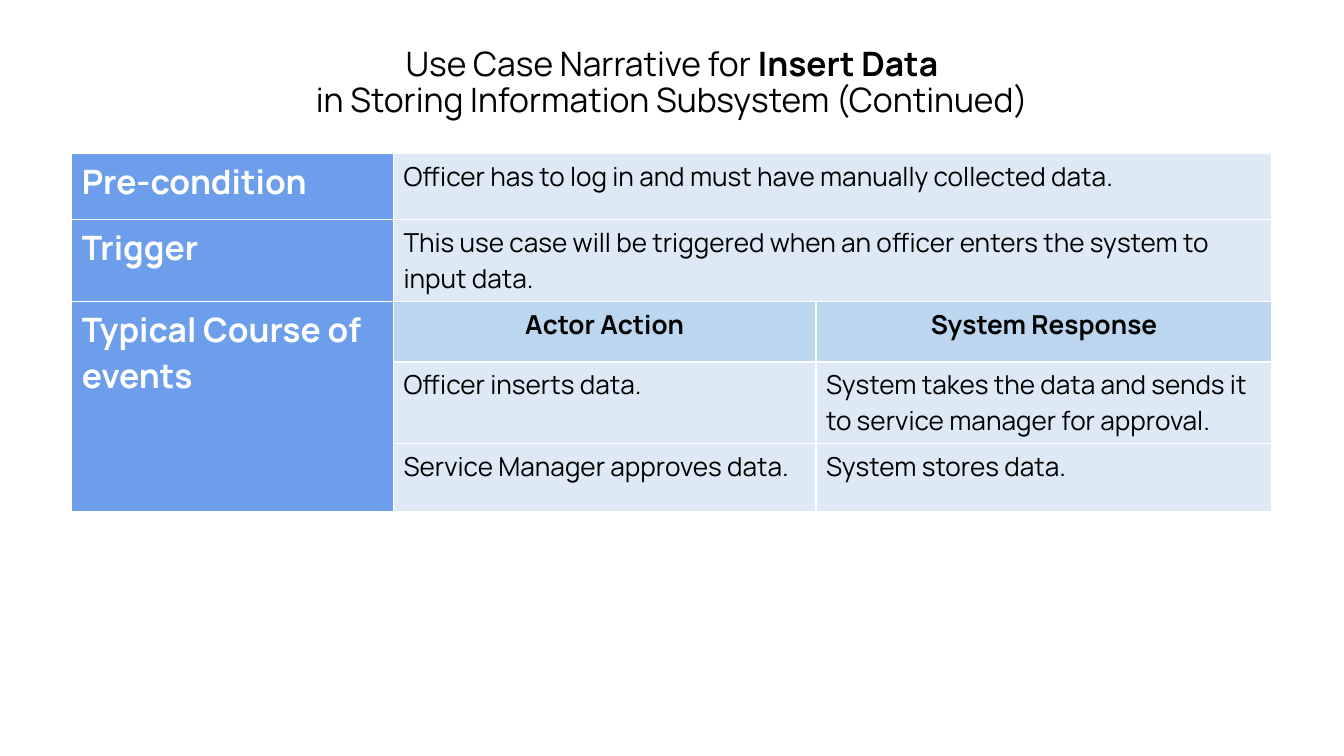
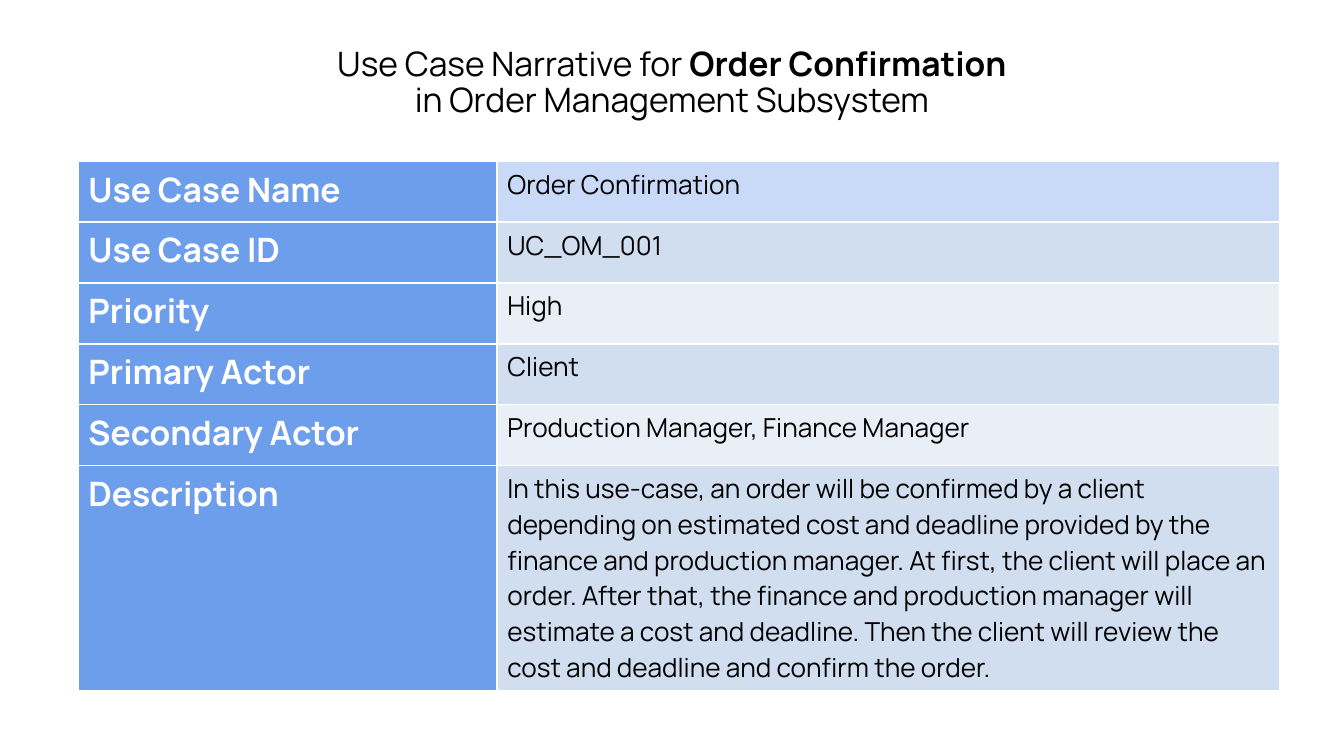
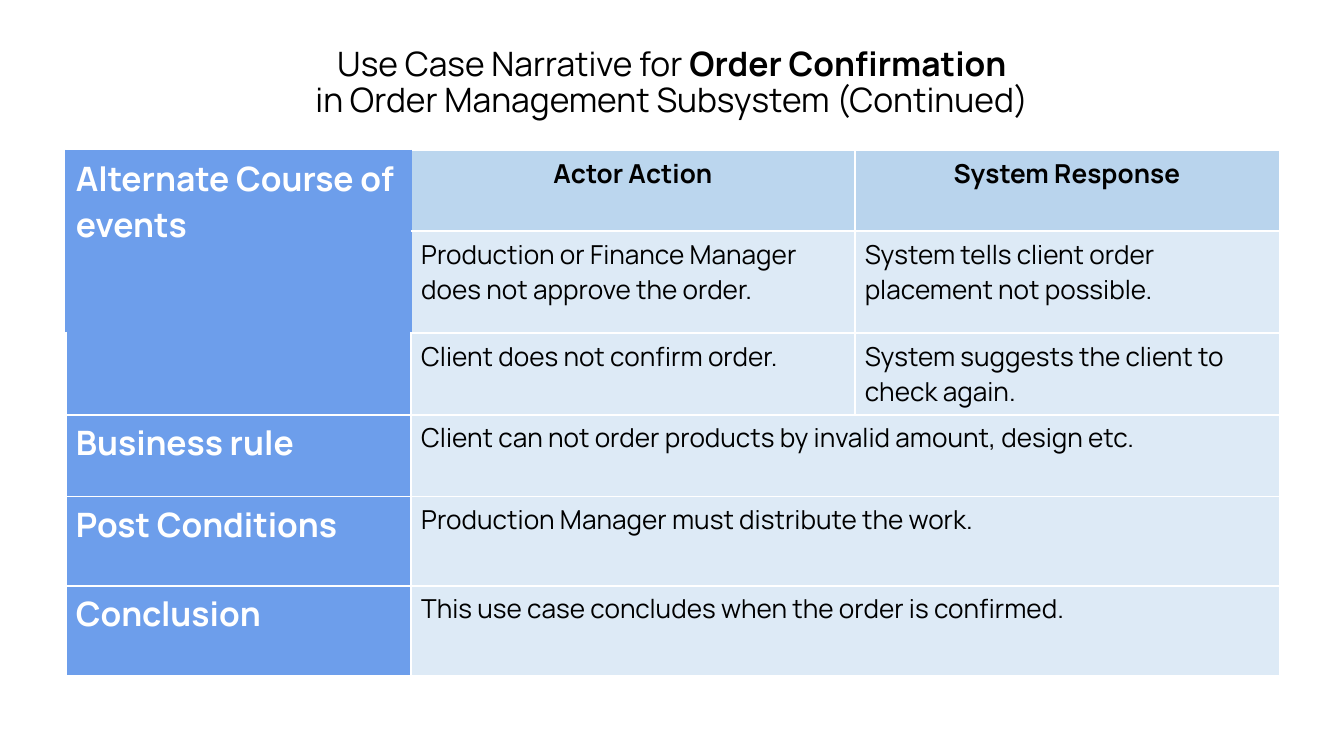
"""Build three use case narrative slides, each a title over a table."""
from lxml.etree import SubElement
from pptx import Presentation
from pptx.dml.color import RGBColor
from pptx.enum.text import MSO_ANCHOR, MSO_AUTO_SIZE, PP_ALIGN
from pptx.oxml.ns import qn
from pptx.util import Pt

LEFT, UP = "<", "^"
LABEL, HEADING, BODY, WHITE, BLACK = "6D9EEB", "BBD6EE", "DDEAF6", "FFFFFF", "000000"
ACTOR, SYSTEM = "Actor Action", "System Response"
BOX = {"left": Pt(59), "top": Pt(21), "width": Pt(602), "height": Pt(45.4)}
FRAME = {"margin_left": Pt(5), "margin_right": Pt(5), "margin_top": Pt(5), "margin_bottom": Pt(3),
         "word_wrap": True, "auto_size": MSO_AUTO_SIZE.NONE, "vertical_anchor": MSO_ANCHOR.TOP}
CELL = {"margin_left": Pt(5.4), "margin_right": Pt(5.4), "margin_top": Pt(2.7),
        "margin_bottom": Pt(2.7), "vertical_anchor": MSO_ANCHOR.TOP}
PLAIN = {"first_row": False, "horz_banding": False}
EDGES = ("L", "R", "T", "B")

NARRATIVES = [
    {"case": "Insert Data",
     "subsystem": "in Storing Information Subsystem (Continued)",
     "corner": (38.4, 82.3),
     "widths": (172.4, 226.4, 244.4),
     "rows": [
         (35.3, "Pre-condition", "Officer has to log in and must have manually collected data.", LEFT),
         (43.9, "Trigger", "This use case will be triggered when an officer enters the system "
          "to input data.", LEFT),
         (32.4, "Typical Course of events", ACTOR, SYSTEM),
         (43.7, UP, "Officer inserts data.",
          "System takes the data and sends it to service manager for approval."),
         (36.6, UP, "Service Manager approves data.", "System stores data."),
     ]},
    {"case": "Order Confirmation",
     "subsystem": "in Order Management Subsystem",
     "corner": (42, 86.4),
     "widths": (224.4, 419.4),
     "fills": {(0, 1): "C9DAF8", (1, 1): "D0DEEF", (2, 1): "E9EFF7",
               (3, 1): "D0DEEF", (4, 1): "E9EFF7", (5, 1): "D0DEEF"},
     "rows": [
         (32.6, "Use Case Name", "Order Confirmation"),
         (32.6, "Use Case ID", "UC_OM_001"),
         (32.6, "Priority", "High"),
         (32.6, "Primary Actor", "Client"),
         (32.6, "Secondary Actor", "Production Manager, Finance Manager"),
         (120.1, "Description",
          "In this use-case, an order will be confirmed by a client depending on estimated cost "
          "and deadline provided by the finance and production manager. At first, the client "
          "will place an order. After that, the finance and production manager will estimate a "
          "cost and deadline. Then the client will review the cost and deadline and confirm the "
          "order."),
     ]},
    {"case": "Order Confirmation",
     "subsystem": "in Order Management Subsystem (Continued)",
     "corner": (35.3, 80.6),
     "widths": (185, 237.6, 227.5),
     "fills": {(0, 2): "B9D4ED"},
     "blue_edges": {(0, 0): "LRTB", (1, 0): "LRTB", (2, 0): "T", (0, 1): "L", (1, 1): "L"},
     "rows": [
         (43.2, "Alternate Course of events", ACTOR, SYSTEM),
         (54.6, UP, "Production or Finance Manager does not approve the order.",
          "System tells client order placement not possible."),
         (43.7, "", "Client does not confirm order.", "System suggests the client to check again."),
         (43.7, "Business rule", "Client can not order products by invalid amount, design etc.", LEFT),
         (48, "Post Conditions", "Production Manager must distribute the work.", LEFT),
         (48, "Conclusion", "This use case concludes when the order is confirmed.", LEFT),
     ]},
]


def color(code):
    return RGBColor.from_string(code)


def apply(target, values):
    for key, value in values.items():
        setattr(target, key, value)


def write(paragraph, words, size, ink, bold):
    run = paragraph.add_run()
    run.text = words
    apply(run.font, {"name": "Manrope", "size": Pt(size), "bold": bold})
    run.font.color.rgb = color(ink)


def outline(cell, blue):
    properties = cell._tc.get_or_add_tcPr()
    for place, edge in enumerate(EDGES):
        on_blue = edge in blue
        line = SubElement(properties, qn(f"a:ln{edge}"), w=str(Pt(0.75 if on_blue else 1)))
        paint = SubElement(line, qn("a:solidFill"))
        SubElement(paint, qn("a:srgbClr"), val=LABEL if on_blue else WHITE)
        properties.insert(place, line)


def add_title(slide, narrative):
    title = slide.shapes.title
    apply(title, BOX)
    apply(title.text_frame, FRAME)
    opening = title.text_frame.paragraphs[0]
    closing = title.text_frame.add_paragraph()
    for paragraph in (opening, closing):
        apply(paragraph, {"alignment": PP_ALIGN.CENTER, "line_spacing": 0.88})
    write(opening, "Use Case Narrative for ", 18, BLACK, False)
    write(opening, narrative["case"], 18, BLACK, True)
    write(closing, narrative["subsystem"], 18, BLACK, False)


def fill_cell(cell, words, is_label, fill, blue):
    is_heading = words in (ACTOR, SYSTEM)
    apply(cell, CELL)
    cell.fill.solid()
    cell.fill.fore_color.rgb = color(fill or (LABEL if is_label else HEADING if is_heading else BODY))
    outline(cell, blue)
    if words in ("", LEFT, UP):
        return
    paragraph = cell.text_frame.paragraphs[0]
    paragraph.alignment = PP_ALIGN.CENTER if is_heading else PP_ALIGN.LEFT
    write(paragraph, words, 18 if is_label else 14, WHITE if is_label else BLACK,
          is_label or is_heading)


def add_narrative(slide, narrative):
    rows, widths = narrative["rows"], narrative["widths"]
    fills, blue_edges = narrative.get("fills", {}), narrative.get("blue_edges", {})
    x, y = narrative["corner"]
    heights = [row[0] for row in rows]
    table = slide.shapes.add_table(len(rows), len(widths), Pt(x), Pt(y),
                                   Pt(sum(widths)), Pt(sum(heights))).table
    apply(table, PLAIN)
    for column, width in zip(table.columns, widths):
        column.width = Pt(width)
    spans = {}
    for r, (height, *texts) in enumerate(rows):
        table.rows[r].height = Pt(height)
        for c, words in enumerate(texts):
            fill_cell(table.cell(r, c), words, c == 0, fills.get((r, c)), blue_edges.get((r, c), ""))
            if words == LEFT:
                spans[r, c - 1] = (r, c)
            elif words == UP:
                start = max(above for above in range(r) if rows[above][c + 1] != UP)
                spans[start, c] = (r, c)
    for start, end in spans.items():
        table.cell(*start).merge(table.cell(*end))


def main():
    deck = Presentation()
    apply(deck, {"slide_width": Pt(720), "slide_height": Pt(405)})
    for narrative in NARRATIVES:
        slide = deck.slides.add_slide(deck.slide_layouts[5])
        add_title(slide, narrative)
        add_narrative(slide, narrative)
    deck.save("out.pptx")


if __name__ == "__main__":
    main()
